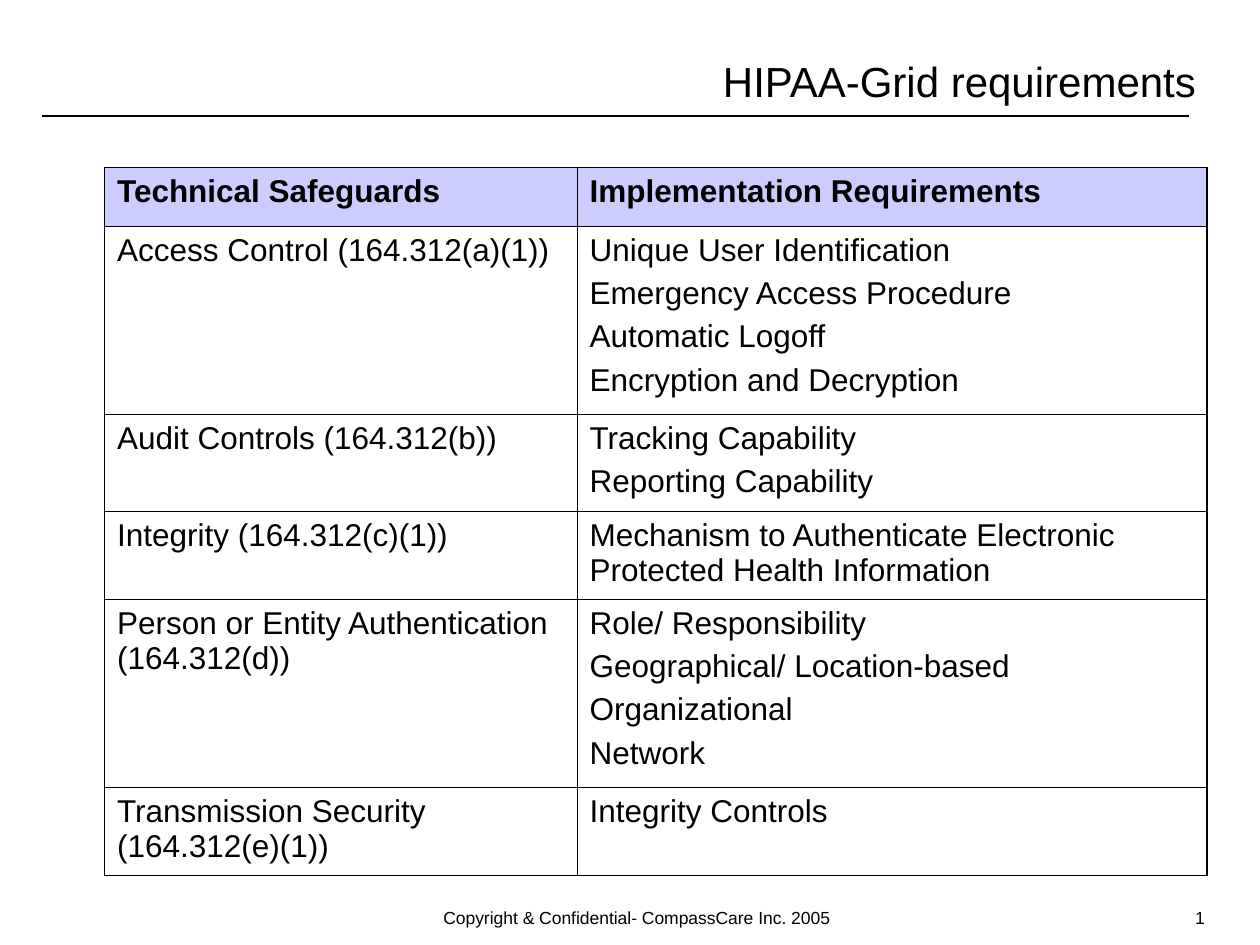
from dataclasses import dataclass

from lxml import etree
from pptx import Presentation
from pptx import util as u
from pptx.dml.color import RGBColor
from pptx.enum import shapes, text
from pptx.oxml import ns


@dataclass(frozen=True)
class Theme:
    font: str = "Arial"
    ink: str = "000000"
    header_fill: str = "CCCCFF"
    paper: str = "FFFFFF"
    title_size: float = 24
    table_size: float = 18
    footer_size: float = 10
    rule_width: float = 0.75
    outer_border: float = 1.08
    inner_border: float = 0.45


class SlideBuilder:
    def __init__(self, page, theme):
        self.page = page
        self.theme = theme

    def paragraphs(self, frame, lines, size, bold=False, space=0, **formats):
        """Fill a text frame, one paragraph for each line."""
        for index, line in enumerate(lines):
            para = frame.paragraphs[0] if index == 0 else frame.add_paragraph()
            values = {"space_before": u.Pt(space if index else 0), **formats}
            for name, value in values.items():
                setattr(para, name, value)
            span = para.add_run()
            span.text = line
            style = {"name": self.theme.font, "size": u.Pt(size), "bold": bold}
            for name, value in style.items():
                setattr(span.font, name, value)
            span.font.color.rgb = RGBColor.from_string(self.theme.ink)

    def text_box(self, place, line, size, anchor=text.MSO_ANCHOR.TOP, **formats):
        box = self.page.shapes.add_textbox(*map(u.Inches, place))
        box.text_frame.word_wrap = True
        box.text_frame.vertical_anchor = anchor
        self.paragraphs(box.text_frame, [line], size, **formats)

    def rule(self, left, right, top):
        line = self.page.shapes.add_connector(
            shapes.MSO_CONNECTOR.STRAIGHT,
            *map(u.Inches, (left, top, right, top)))
        line.line.width = u.Pt(self.theme.rule_width)
        line.line.color.rgb = RGBColor.from_string(self.theme.ink)
        etree.SubElement(line._element.spPr, ns.qn("a:effectLst"))

    def borders(self, cell, outer_sides):
        """Draw the cell's edges, heavier along the outside of the table."""
        properties = cell._tc.get_or_add_tcPr()
        for index, side in enumerate("LRTB"):
            width = (self.theme.outer_border if side in outer_sides
                     else self.theme.inner_border)
            edge = etree.Element(ns.qn(f"a:ln{side}"), w=str(int(u.Pt(width))))
            fill = etree.SubElement(edge, ns.qn("a:solidFill"))
            etree.SubElement(fill, ns.qn("a:srgbClr"), val=self.theme.ink)
            properties.insert(index, edge)

    def table(self, left, top, widths, heights, rows):
        frame = self.page.shapes.add_table(
            len(rows), len(widths),
            *map(u.Inches, (left, top, sum(widths), sum(heights))))
        grid = frame.table
        for column, width in zip(grid.columns, widths):
            column.width = u.Inches(width)
        for row, height in zip(grid.rows, heights):
            row.height = u.Inches(height)

        for r, row in enumerate(rows):
            for c, lines in enumerate(row):
                cell = grid.cell(r, c)
                header = r == 0
                self.paragraphs(cell.text_frame, lines, self.theme.table_size,
                                bold=header, space=4.5)
                cell.fill.solid()
                cell.fill.fore_color.rgb = RGBColor.from_string(
                    self.theme.header_fill if header else self.theme.paper)
                edges = {"L": c == 0, "R": c == len(widths) - 1,
                         "T": header, "B": r == len(rows) - 1}
                self.borders(cell, [side for side in edges if edges[side]])


SAFEGUARDS = [
    (["Technical Safeguards"], ["Implementation Requirements"]),
    (["Access Control (164.312(a)(1))"],
     ["Unique User Identification", "Emergency Access Procedure",
      "Automatic Logoff", "Encryption and Decryption"]),
    (["Audit Controls (164.312(b))"],
     ["Tracking Capability", "Reporting Capability"]),
    (["Integrity (164.312(c)(1))"],
     ["Mechanism to Authenticate Electronic Protected Health Information"]),
    (["Person or Entity Authentication (164.312(d))"],
     ["Role/ Responsibility", "Geographical/ Location-based",
      "Organizational", "Network"]),
    (["Transmission Security (164.312(e)(1))"], ["Integrity Controls"]),
]


def main():
    deck = Presentation()
    deck.slide_width, deck.slide_height = u.Inches(10), u.Inches(7.5)
    theme = Theme()
    slide = SlideBuilder(deck.slides.add_slide(deck.slide_layouts[6]), theme)

    # Title and the rule below it
    slide.rule(0.33, 9.44, 0.92)
    slide.text_box((2.67, 0.33, 6.92, 0.62), "HIPAA-Grid requirements",
                   theme.title_size, anchor=text.MSO_ANCHOR.MIDDLE,
                   alignment=text.PP_ALIGN.RIGHT)

    # Safeguards and their requirements
    slide.table(0.83, 1.33, [3.75, 5], [0.47, 1.49, 0.77, 0.7, 1.49, 0.7],
                SAFEGUARDS)

    # Footer and page number
    slide.text_box((3.42, 7.17, 3.5, 0.33),
                   "Copyright & Confidential- CompassCare Inc. 2005",
                   theme.footer_size, line_spacing=0.9)
    slide.text_box((7.58, 7.17, 2.08, 0.17), "1", theme.footer_size,
                   alignment=text.PP_ALIGN.RIGHT, line_spacing=0.9)

    deck.save("out.pptx")


if __name__ == "__main__":
    main()
